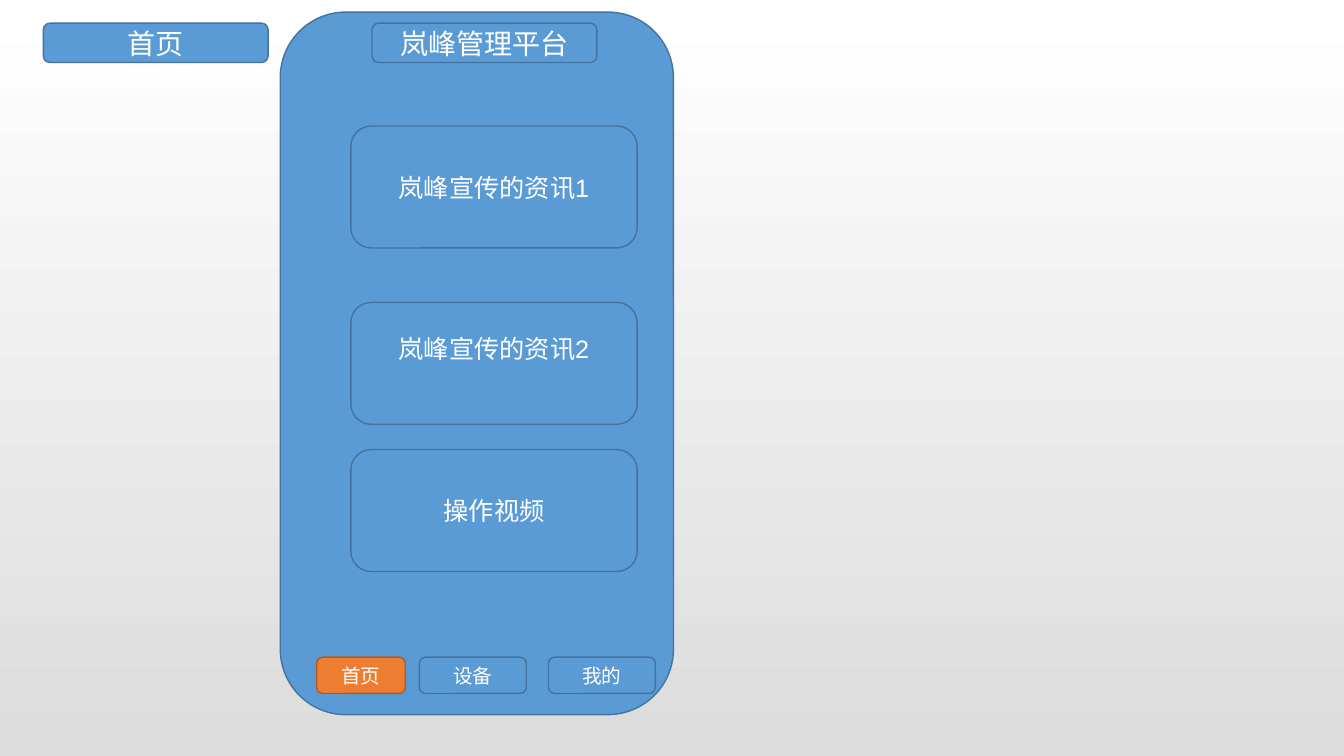
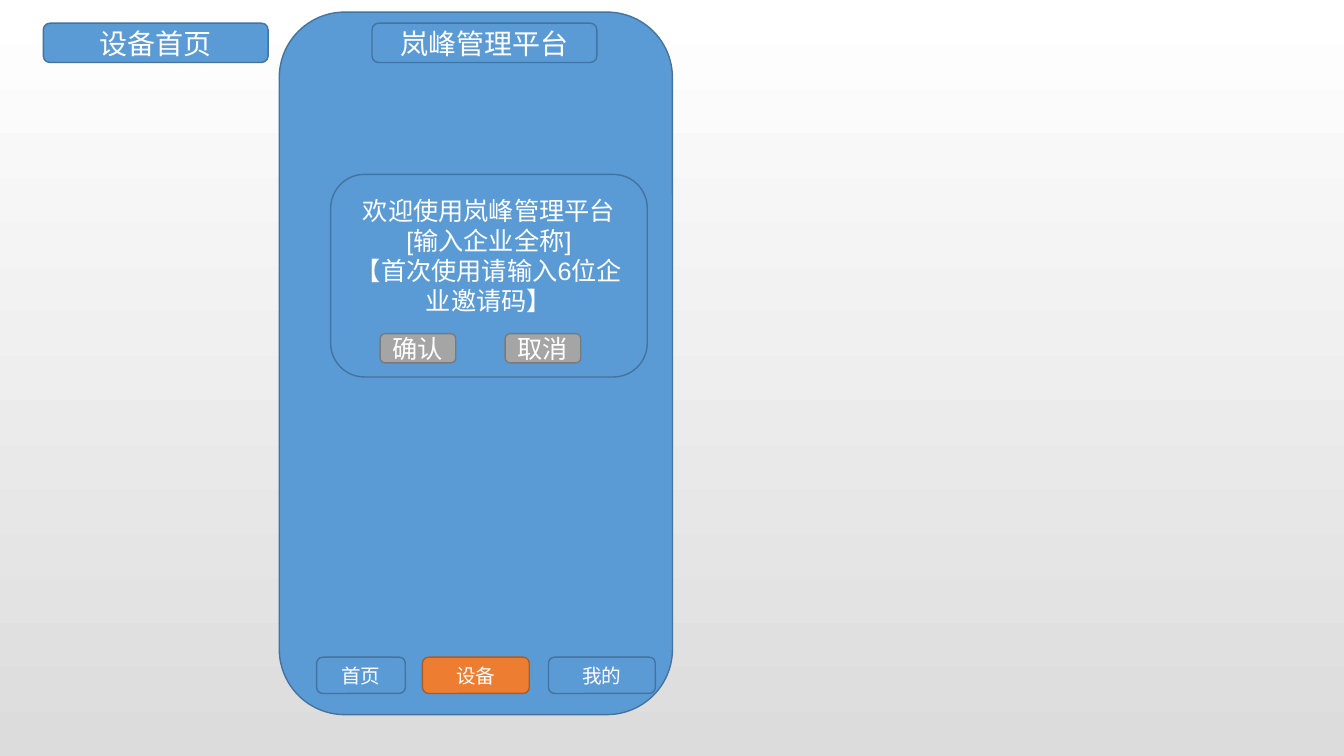
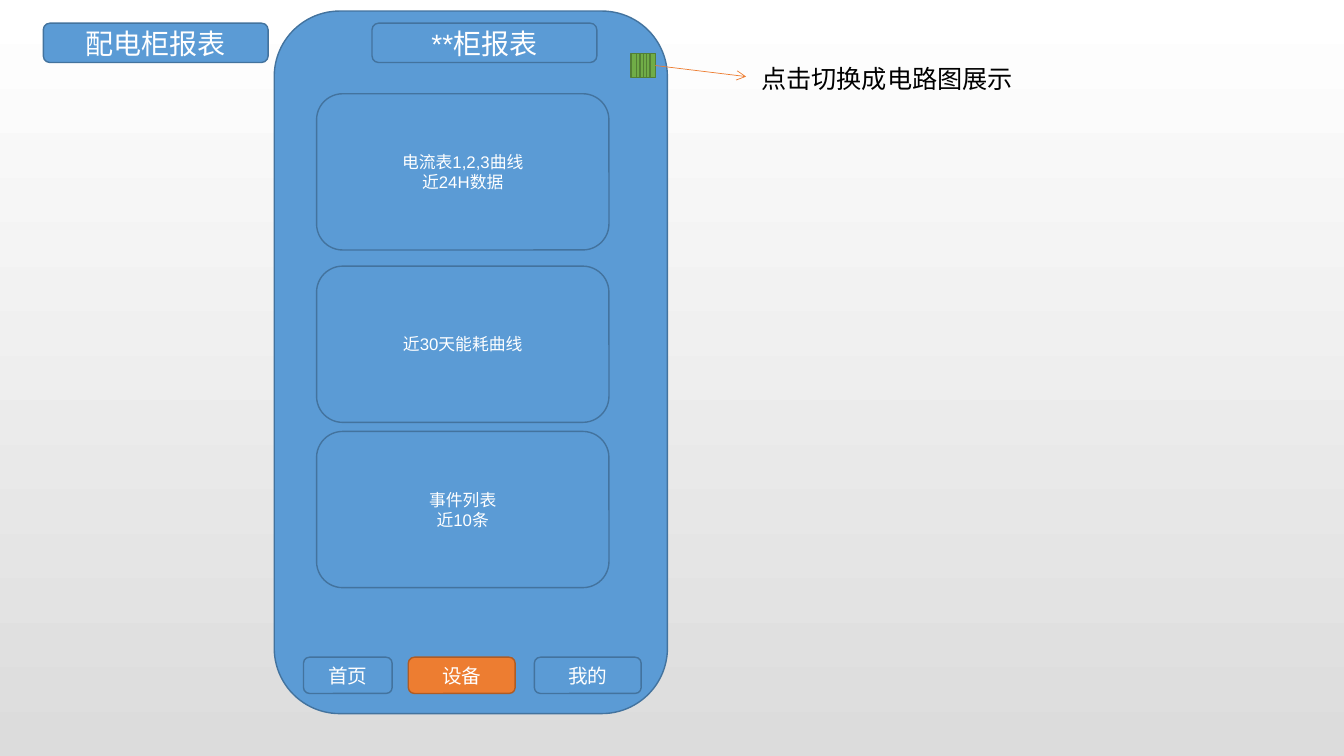
from lxml.etree import SubElement
from pptx import Presentation
from pptx.dml.color import RGBColor
from pptx.enum.shapes import MSO_CONNECTOR, MSO_SHAPE
from pptx.enum.text import MSO_ANCHOR, PP_ALIGN
from pptx.oxml.ns import qn
from pptx.util import Inches, Pt

FONT = "Arial"
BLUE = ("5B9BD5", "43739E")
ORANGE = ("ED7D31", "AF5C24")
GRAY = ("A5A5A5", "7A7A7A")
GREEN = ("70AD47", "538035")

PHONE_SIZE = (3.9, 6.97)
TAG_BOX = (0.43, 0.23, 2.23, 0.39)
HEADER_BOX = (3.69, 0.23, 2.23, 0.39)
TAB_TOP, TAB_HEIGHT = 6.52, 0.36
TABS = [("首页", 0.88), ("设备", 1.06), ("我的", 1.06)]
BUTTON_TOP, BUTTON_WIDTH, BUTTON_HEIGHT = 3.31, 0.75, 0.29
LINE_18PT = 0.3
BUTTON_ROOM = 0.4

SCREENS = [
    {
        "tag": "首页", "header": "岚峰管理平台", "phone": (2.78, 0.12),
        "tab_lefts": (3.14, 4.16, 5.44), "active": "首页",
        "card": (3.48, 2.84, 1.21), "size": 18,
        "cards": [
            (1.25, ["岚峰宣传的资讯1"], 0),
            (3, ["岚峰宣传的资讯2"], LINE_18PT),
            (4.46, ["操作视频"], 0),
        ],
    },
    {
        "tag": "设备首页", "header": "岚峰管理平台", "phone": (2.77, 0.12),
        "tab_lefts": (3.14, 4.19, 5.44), "active": "设备",
        "card": (3.28, 3.14, 2.01), "size": 18,
        "cards": [
            (1.73, ["欢迎使用岚峰管理平台", "[输入企业全称]",
                    "【首次使用请输入6位企业邀请码】"], BUTTON_ROOM),
        ],
        "buttons": [("确认", 3.77), ("取消", 5.01)],
    },
    {
        "tag": "配电柜报表", "header": "**柜报表", "phone": (2.72, 0.11),
        "tab_lefts": (3.01, 4.05, 5.3), "active": "设备",
        "card": (3.14, 2.9, 1.55), "size": 12,
        "cards": [
            (0.93, ["电流表1,2,3曲线", "近24H数据"], 0),
            (2.64, ["近30天能耗曲线"], 0),
            (4.28, ["事件列表", "近10条"], 0),
        ],
        "note": "点击切换成电路图展示",
    },
]


def rgb(value):
    return RGBColor.from_string(value)


def write(tf, lines, size, color, align):
    tf.word_wrap = True
    for i, line in enumerate(lines):
        p = tf.add_paragraph() if i else tf.paragraphs[0]
        p.text = line
        p.alignment = align
        p.font.name = FONT
        p.font.size = Pt(size)
        p.font.color.rgb = rgb(color)


def add_box(shapes, box, colors, lines=(), size=18, lift=0,
            kind=MSO_SHAPE.ROUNDED_RECTANGLE):
    sp = shapes.add_shape(kind, *map(Inches, box))
    sp.shadow.inherit = False
    sp.fill.solid()
    sp.fill.fore_color.rgb = rgb(colors[0])
    sp.line.color.rgb = rgb(colors[1])
    sp.line.width = Pt(1)
    tf = sp.text_frame
    tf.vertical_anchor = MSO_ANCHOR.MIDDLE
    tf.margin_bottom = Inches(0.05 + lift)
    write(tf, lines, size, "FFFFFF", PP_ALIGN.CENTER)
    return sp


def add_line(shapes, start, end, color, width):
    line = shapes.add_connector(MSO_CONNECTOR.STRAIGHT,
                                *map(Inches, (*start, *end)))
    line.line.color.rgb = rgb(color)
    line.line.width = Pt(width)
    SubElement(line._element.spPr, qn("a:effectLst"))
    return line


def add_phone(s, screen):
    add_box(s.shapes, (*screen["phone"], *PHONE_SIZE), BLUE)
    add_box(s.shapes, HEADER_BOX, BLUE, [screen["header"]], 20)
    add_box(s.shapes, TAG_BOX, BLUE, [screen["tag"]], 20)
    for (name, width), left in zip(TABS, screen["tab_lefts"]):
        colors = ORANGE if name == screen["active"] else BLUE
        add_box(s.shapes, (left, TAB_TOP, width, TAB_HEIGHT), colors, [name], 14)


def add_cards(s, screen):
    left, width, height = screen["card"]
    for top, lines, lift in screen["cards"]:
        add_box(s.shapes, (left, top, width, height), BLUE, lines,
                screen["size"], lift)
    for name, button_left in screen.get("buttons", []):
        add_box(s.shapes, (button_left, BUTTON_TOP, BUTTON_WIDTH, BUTTON_HEIGHT),
                GRAY, [name])


def add_switch_note(s, note):
    left, top, side = 6.26, 0.53, 0.24
    icon = s.shapes.add_group_shape()
    square = add_box(icon.shapes, (left, top, side, side), GREEN,
                     kind=MSO_SHAPE.RECTANGLE)
    for i in range(-2, 3):
        x = left + side / 2 + i * side / 7
        add_line(icon.shapes, (x, top + side), (x, top), GREEN[1], 1)
    tb = s.shapes.add_textbox(*map(Inches, (7.45, 0.58, 3.34, 0.4)))
    write(tb.text_frame, [note], 18, "000000", PP_ALIGN.LEFT)
    arrow = add_line(s.shapes, (left + side, top + side / 2), (7.4, 0.76),
                     ORANGE[0], 0.5)
    arrow.begin_connect(square, 3)
    SubElement(arrow.line._get_or_add_ln(), qn("a:tailEnd"), type="arrow")


def set_background(master):
    fill = master.background.fill
    fill.gradient()
    fill.gradient_angle = 270
    for stop, color in zip(fill.gradient_stops, ("FFFFFF", "DCDCDC")):
        stop.color.rgb = rgb(color)


def main():
    prs = Presentation()
    prs.slide_width, prs.slide_height = Inches(13.33), Inches(7.5)
    set_background(prs.slide_master)
    for screen in SCREENS:
        s = prs.slides.add_slide(prs.slide_layouts[6])
        add_phone(s, screen)
        add_cards(s, screen)
        if "note" in screen:
            add_switch_note(s, screen["note"])
    prs.save("out.pptx")


if __name__ == "__main__":
    main()
